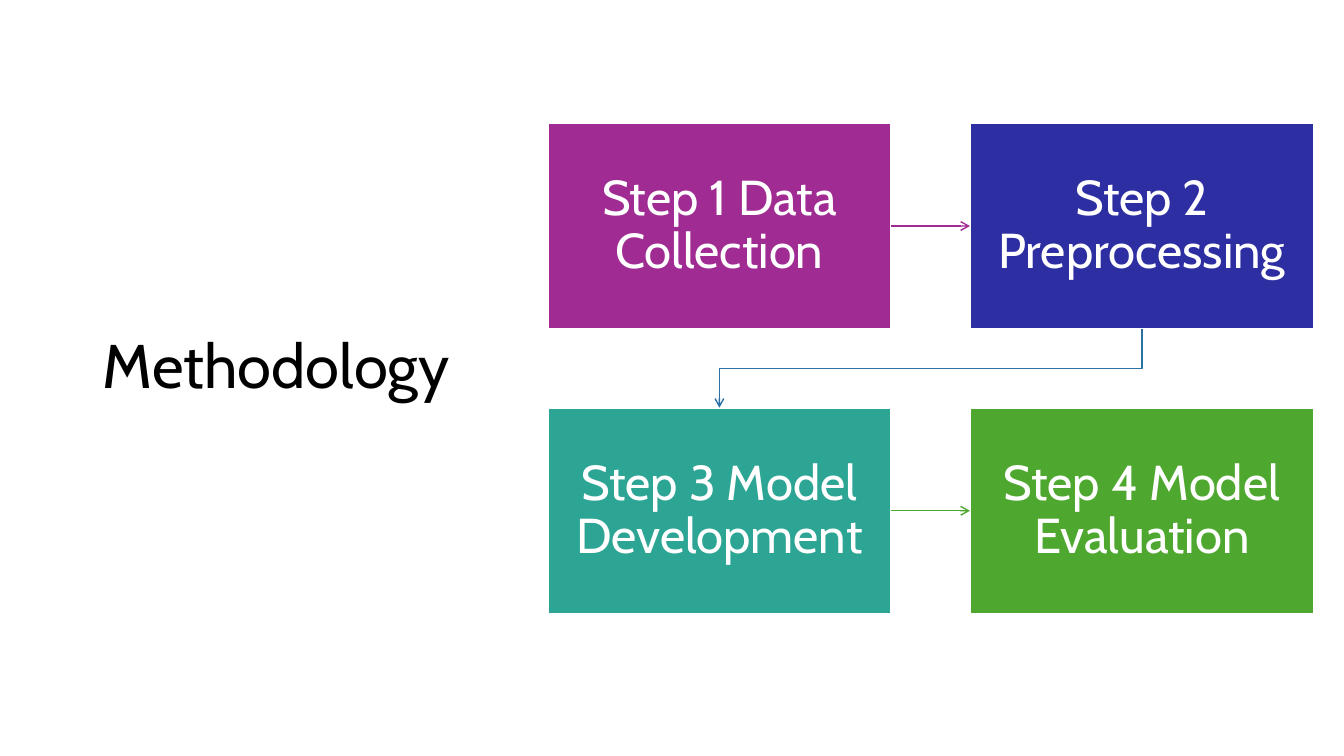
from lxml import etree
from pptx import Presentation
from pptx.dml.color import RGBColor
from pptx.enum.shapes import MSO_CONNECTOR, MSO_SHAPE
from pptx.enum.text import MSO_ANCHOR, PP_ALIGN
from pptx.oxml.ns import qn
from pptx.util import Inches, Pt

RECT = MSO_SHAPE.RECTANGLE
STRAIGHT, ELBOW = MSO_CONNECTOR.STRAIGHT, MSO_CONNECTOR.ELBOW
MIDDLE = MSO_ANCHOR.MIDDLE
LEFT, CENTER = PP_ALIGN.LEFT, PP_ALIGN.CENTER
TOP_SIDE, LEFT_SIDE, RIGHT_SIDE = 0, 1, 3

BLACK = RGBColor(0x00, 0x00, 0x00)
WHITE = RGBColor(0xFF, 0xFF, 0xFF)
PURPLE = RGBColor(0xA0, 0x2B, 0x93)
INDIGO = RGBColor(0x2C, 0x2E, 0xA2)
BLUE = RGBColor(0x2C, 0x71, 0xA4)
TEAL = RGBColor(0x2D, 0xA5, 0x94)
GREEN = RGBColor(0x4E, 0xA7, 0x2E)

FONT = "Cabin"
STEPS = [
    ("Step 1 Data Collection", PURPLE),
    ("Step 2 Preprocessing", INDIGO),
    ("Step 3 Model Development", TEAL),
    ("Step 4 Model Evaluation", GREEN),
]
COLS = 2
GAP = Inches(0.78)


def write(frame, text, size, color, align):
    frame.word_wrap = True
    frame.vertical_anchor = MIDDLE
    para = frame.paragraphs[0]
    para.alignment = align
    para.line_spacing = 0.9
    run = para.add_run()
    run.text = text
    run.font.name = FONT
    run.font.size = Pt(size)
    run.font.color.rgb = color


def add_title(slide, box):
    title = slide.shapes.title
    title.left, title.top, title.width, title.height = box
    write(title.text_frame, "Methodology", 44, BLACK, LEFT)


def add_step(slide, box, text, color):
    step = slide.shapes.add_shape(RECT, *box)
    step.shadow.inherit = False
    step.fill.solid()
    step.fill.fore_color.rgb = color
    step.line.color.rgb = WHITE
    step.line.width = Pt(1.5)
    frame = step.text_frame
    frame.margin_left = frame.margin_right = Inches(0.17)
    frame.margin_top = frame.margin_bottom = Inches(0.18)
    write(frame, text, 35, WHITE, CENTER)
    return step


def style_arrow(arrow, color):
    arrow.line.color.rgb = color
    arrow.line.width = Pt(1)
    tail = etree.SubElement(arrow.line._get_or_add_ln(), qn("a:tailEnd"))
    tail.set("type", "arrow")
    etree.SubElement(arrow._element.spPr, qn("a:effectLst"))


def link_across(slide, start, end, color):
    arrow = slide.shapes.add_connector(STRAIGHT, 0, 0, 0, 0)
    arrow.begin_connect(start, RIGHT_SIDE)
    arrow.end_connect(end, LEFT_SIDE)
    style_arrow(arrow, color)


def link_down(slide, start, end, color):
    x1, y1 = start.left + start.width // 2, start.top + start.height
    x2, y2 = end.left + end.width // 2, end.top
    mid_x, mid_y = (x1 + x2) // 2, (y1 + y2) // 2
    half_x, half_y = (x1 - x2) // 2, (y2 - y1) // 2
    arrow = slide.shapes.add_connector(
        ELBOW, mid_x - half_y, mid_y - half_x, mid_x + half_y, mid_y + half_x)
    arrow._element.spPr.find(qn("a:xfrm")).set("rot", "5400000")
    style_arrow(arrow, color)


def add_flow(slide, box):
    left, top, width, height = box
    wide = (width - GAP) // COLS
    rows = len(STEPS) // COLS
    high = (height - GAP * (rows - 1)) // rows
    steps = []
    for i, (text, color) in enumerate(STEPS):
        row, col = divmod(i, COLS)
        cell = (left + col * (wide + GAP), top + row * (high + GAP), wide, high)
        steps.append(add_step(slide, cell, text, color))
    link_across(slide, steps[0], steps[1], PURPLE)
    link_down(slide, steps[1], steps[2], BLUE)
    link_across(slide, steps[2], steps[3], GREEN)


def main():
    deck = Presentation()
    deck.slide_width, deck.slide_height = Inches(13.33), Inches(7.5)
    slide = deck.slides.add_slide(deck.slide_layouts[5])
    add_title(slide, (Inches(0.92), Inches(0.61), Inches(3.69), Inches(6.09)))
    add_flow(slide, (Inches(5.43), Inches(1.22), Inches(7.6), Inches(4.87)))
    deck.save("out.pptx")


if __name__ == "__main__":
    main()
